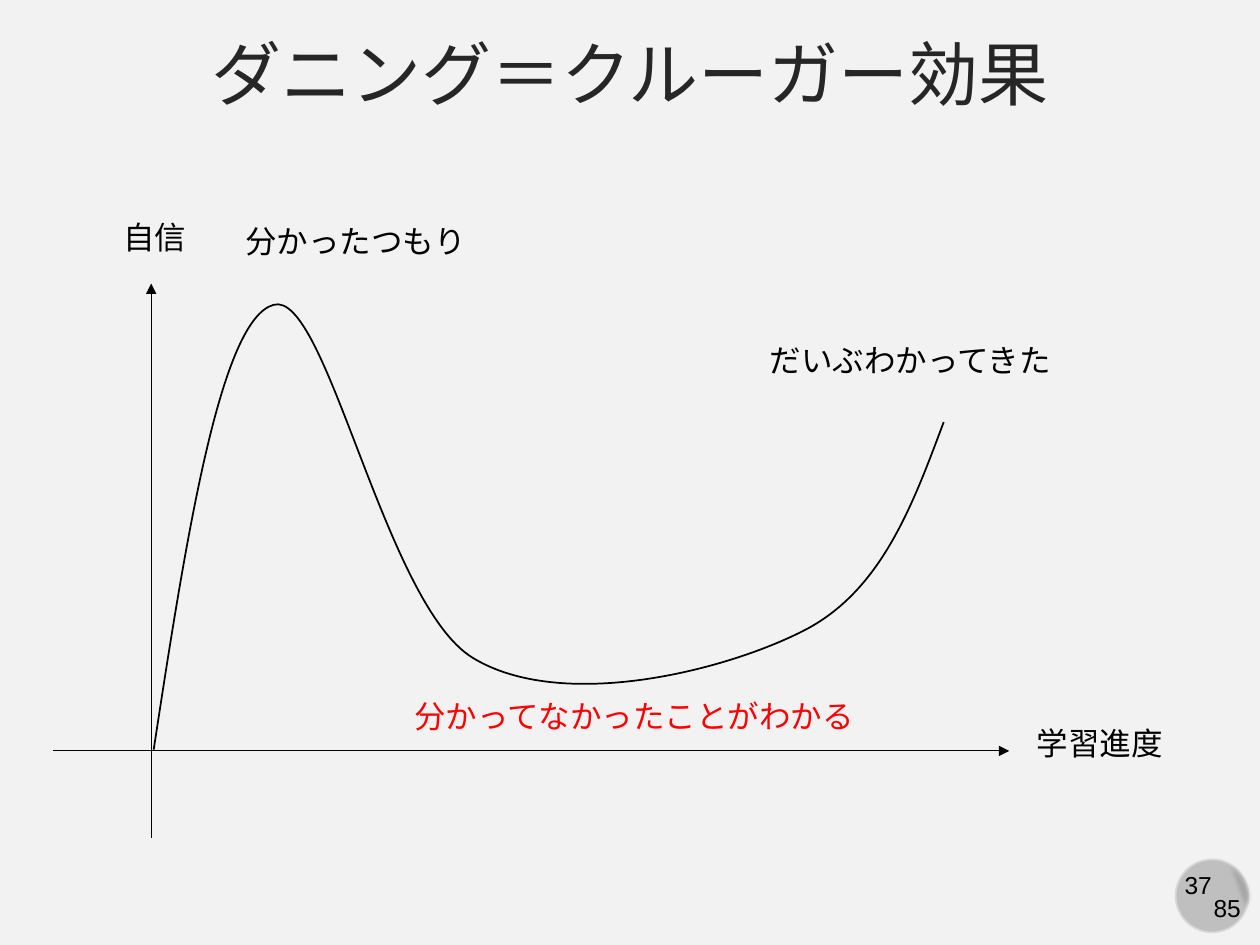
from lxml import etree
from pptx import Presentation
from pptx.dml.color import RGBColor
from pptx.enum.shapes import MSO_CONNECTOR as Conn, MSO_SHAPE as Shape
from pptx.enum.text import MSO_ANCHOR as Anchor, MSO_AUTO_SIZE as Auto, PP_ALIGN as Align
from pptx.oxml.ns import qn
from pptx.util import Inches, Pt

BLACK = RGBColor(0x00, 0x00, 0x00)
RED = RGBColor(0xFF, 0x00, 0x00)
DARK = RGBColor(0x26, 0x26, 0x26)
PAPER = RGBColor(0xF2, 0xF2, 0xF2)
RIM = RGBColor(0xD9, 0xD9, 0xD9)
LIGHT = RGBColor(0xBF, 0xBF, 0xBF)
GREY = RGBColor(0xA6, 0xA6, 0xA6)

deck = Presentation()
deck.slide_width, deck.slide_height = Inches(10), Inches(7.5)
slide = deck.slides.add_slide(deck.slide_layouts[6])
slide.background.fill.solid()
slide.background.fill.fore_color.rgb = PAPER
shapes = slide.shapes


def add_text(text, x, y, w, h, size, color=BLACK, align=Align.LEFT, wrap=False):
    box = shapes.add_textbox(Inches(x), Inches(y), Inches(w), Inches(h))
    frame = box.text_frame
    frame.text = text
    frame.word_wrap = wrap
    frame.auto_size = Auto.NONE if wrap else Auto.SHAPE_TO_FIT_TEXT
    para = frame.paragraphs[0]
    para.alignment = align
    font = para.runs[0].font
    font.name, font.size, font.color.rgb = "Arial", Pt(size), color
    return frame


# Page badge: disc, soft-edged chord, page and total
disc = shapes.add_shape(Shape.OVAL, Inches(9.33), Inches(6.82), Inches(0.58), Inches(0.58))
disc.line.color.rgb = RIM
disc.line.width = Pt(1)
chord = shapes.add_shape(Shape.CHORD, Inches(9.32), Inches(6.8), Inches(0.62), Inches(0.62))
chord.rotation = 255
chord.line.fill.background()
for i, angle in enumerate((27, 141.42)):
    chord.adjustments[i] = angle * 0.6  # 60000 units a degree, over 100000
for part, fill in ((disc, LIGHT), (chord, GREY)):
    part.shadow.inherit = False
    part.fill.solid()
    part.fill.fore_color.rgb = fill
effects = chord._element.spPr.find(qn("a:effectLst"))
etree.SubElement(effects, qn("a:softEdge"), rad=str(Pt(2.5)))
add_text("37", 9.29, 6.86, 0.44, 0.34, 14, align=Align.CENTER)
add_text("85", 9.53, 7.04, 0.42, 0.34, 14, align=Align.CENTER)

# Title
title = add_text("ダニング＝クルーガー効果", 0, 0.21, 10, 0.82, 40, DARK, Align.CENTER, True)
title.vertical_anchor = Anchor.MIDDLE
title.paragraphs[0].line_spacing = 0.9

# Axes
for x1, y1, x2, y2 in ((0.42, 5.96, 8.01, 5.96), (1.2, 6.65, 1.2, 2.25)):
    axis = shapes.add_connector(Conn.STRAIGHT, Inches(x1), Inches(y1), Inches(x2), Inches(y2))
    axis.line.color.rgb = BLACK
    axis.line.width = Pt(0.5)
    etree.SubElement(axis.line._get_or_add_ln(), qn("a:tailEnd"), type="triangle")
    etree.SubElement(axis._element.spPr, qn("a:effectLst"))

# Curve: straight steps between the knots, each then bent into a Bezier
start = (1.22, 5.95)
bends = [
    ((1.48, 4.25), (1.75, 2.54), (2.17, 2.42)),
    ((2.59, 2.29), (3.05, 4.79), (3.75, 5.22)),
    ((4.45, 5.65), (5.74, 5.33), (6.37, 5.01)),
    ((6.99, 4.7), (7.24, 4.02), (7.49, 3.35)),
]
pen = shapes.build_freeform(Inches(start[0]), Inches(start[1]))
pen.add_line_segments([(Inches(x), Inches(y)) for *_, (x, y) in bends], close=False)
curve = pen.convert_to_shape()
curve.shadow.inherit = False
curve.fill.background()
curve.line.color.rgb = BLACK
curve.line.width = Pt(1)
steps = list(curve._element.iter(qn("a:lnTo")))
for step, bend in zip(steps, bends):
    step.clear()
    cubic = etree.Element(qn("a:cubicBezTo"))
    for x, y in bend:
        etree.SubElement(cubic, qn("a:pt"), x=str(Inches(x) - curve.left), y=str(Inches(y) - curve.top))
    step.getparent().replace(step, cubic)

# Labels of axes and stages
for text, x, y, w, color in (
    ("自信", 0.88, 1.68, 0.71, BLACK),
    ("学習進度", 8.13, 5.7, 1.21, BLACK),
    ("分かったつもり", 1.85, 1.71, 1.97, BLACK),
    ("分かってなかったことがわかる", 3.19, 5.48, 3.74, RED),
    ("だいぶわかってきた", 6.01, 2.66, 2.47, BLACK),
):
    add_text(text, x, y, w, 0.4, 18, color)

deck.save("out.pptx")
